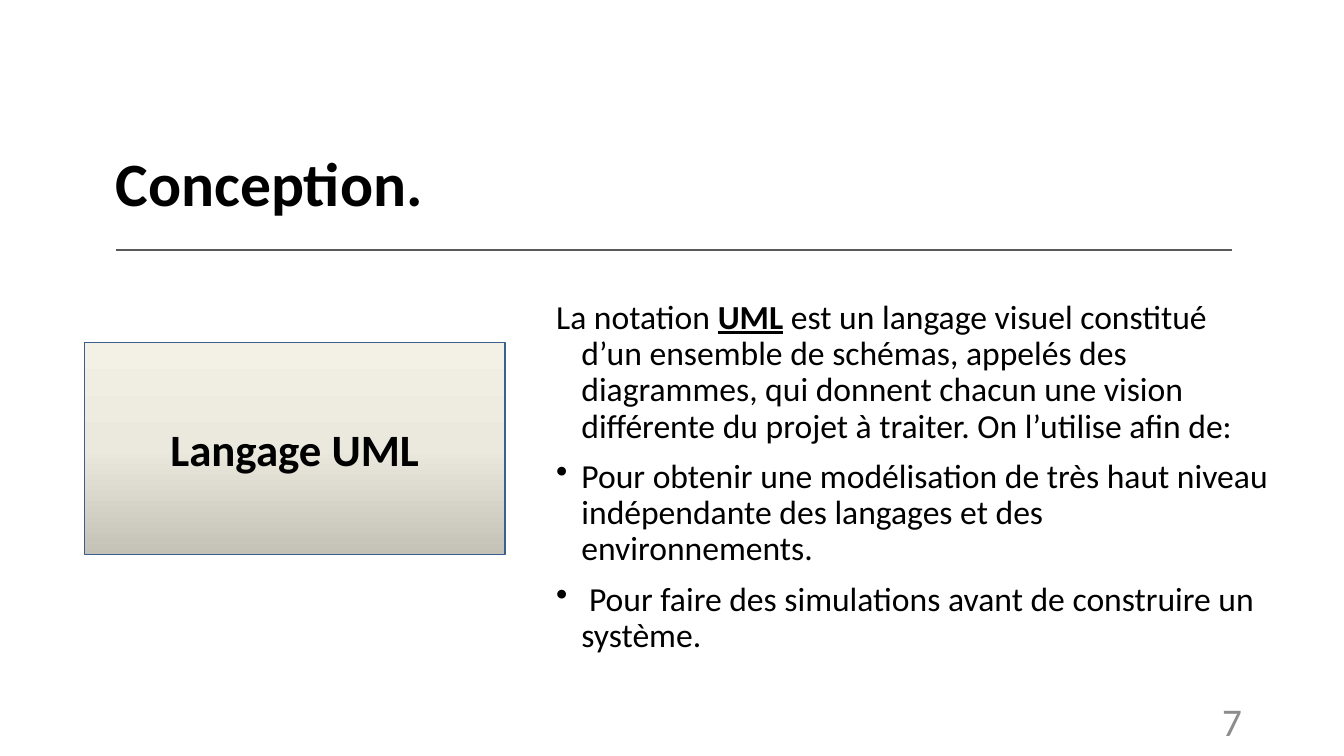
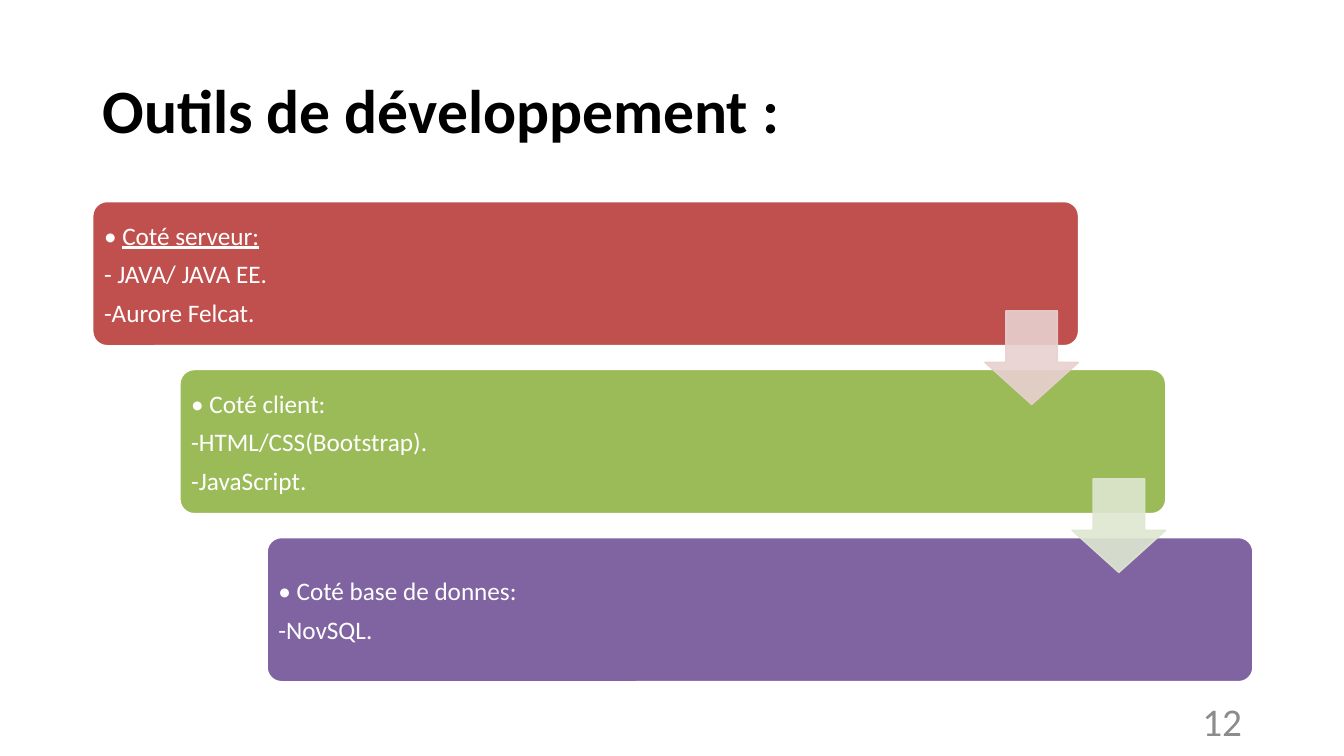
from copy import deepcopy

from lxml.etree import SubElement
from pptx import Presentation
from pptx.dml.color import RGBColor
from pptx.enum.shapes import MSO_CONNECTOR as Connector, MSO_SHAPE as Preset
from pptx.enum.text import MSO_ANCHOR as Anchor, PP_ALIGN as Align
from pptx.oxml.ns import qn
from pptx.util import Inches, Pt

COLUMNS, ROWS = 160, 90
FONT = "Calibri"
BLACK, WHITE, GREY, RULE = "000000", "FFFFFF", "8C8C8C", "595959"
TITLE = {"size": Pt(44), "bold": True}
TIGHT = {"line_spacing": 0.9}
BODY = {**TIGHT, "space_before": Pt(10)}
CARD_LINES = {"space_after": Pt(6), "alignment": Align.LEFT}
PLAIN, UNDERLINED = {}, {"underline": True}
STRONG = {"bold": True, "underline": True}


def rgb(value):
    return RGBColor.from_string(value)


def apply(target, values):
    for name, value in values.items():
        setattr(target, name, value)


class Deck:
    def __init__(self):
        self.show = Presentation()
        apply(self.show, {"slide_width": Inches(13.33), "slide_height": Inches(7.5)})
        self.column = self.show.slide_width / COLUMNS
        self.row = self.show.slide_height / ROWS
        self.slide = None

    def place(self, left, top, width, height):
        return [round(left * self.column), round(top * self.row),
                round(width * self.column), round(height * self.row)]

    def page(self, title, area, anchor, number):
        self.slide = self.show.slides.add_slide(self.show.slide_layouts[6])
        self.text(area, [title], TITLE, TIGHT, anchor)
        self.text((113.04, 83.4, 36, 4.8), [number], {"size": Pt(28)},
                  {"alignment": Align.RIGHT}, Anchor.MIDDLE, GREY)

    def fill_text(self, frame, paragraphs, font, layout, anchor, color):
        apply(frame, {"word_wrap": True, "vertical_anchor": anchor})
        for index, content in enumerate(paragraphs):
            paragraph = frame.paragraphs[0] if index == 0 else frame.add_paragraph()
            apply(paragraph, layout)
            runs = [(content, PLAIN)] if isinstance(content, str) else content
            for words, emphasis in runs:
                run = paragraph.add_run()
                run.text = words
                apply(run.font, {"name": FONT, **font, **emphasis})
                run.font.color.rgb = rgb(color)

    def text(self, area, paragraphs, font, layout, anchor=Anchor.TOP, color=BLACK):
        frame = self.slide.shapes.add_textbox(*self.place(*area)).text_frame
        self.fill_text(frame, paragraphs, font, layout, anchor, color)
        return frame

    def bullets(self, area, intro, items):
        frame = self.text(area, [intro, *items], {"size": Pt(24)}, BODY)
        for index, paragraph in enumerate(frame.paragraphs):
            properties = paragraph._p.get_or_add_pPr()
            properties.set("marL", str(Inches(0.25)))
            properties.set("indent", str(-Inches(0.25)))
            if index:
                SubElement(properties, qn("a:buChar")).set("char", "•")

    def rule(self, left, right, top):
        x, y, width, _ = self.place(left, top, right - left, 0)
        line = self.slide.shapes.add_connector(Connector.STRAIGHT, x, y, x + width, y)
        line.line.color.rgb = rgb(RULE)
        line.line.width = Pt(1.25)
        SubElement(line._element.spPr, qn("a:effectLst"))

    def shape(self, preset, area, fill, outline, adjustments=(), opacity=100):
        shape = self.slide.shapes.add_shape(preset, *self.place(*area))
        shape.shadow.inherit = False
        for index, value in enumerate(adjustments):
            shape.adjustments[index] = value
        if isinstance(fill, str):
            shape.fill.solid()
            shape.fill.fore_color.rgb = rgb(fill)
        else:
            self.gradient(shape, fill)
        shape.line.color.rgb = rgb(outline)
        shape.line.width = Pt(1)
        if opacity < 100:
            for color in shape._element.spPr.iter(qn("a:srgbClr")):
                SubElement(color, qn("a:alpha")).set("val", str(opacity * 1000))
        return shape

    def gradient(self, shape, colors):
        shape.fill.gradient()
        shape.fill.gradient_angle = 270
        stops = shape._element.spPr.find(".//" + qn("a:gsLst"))
        while len(stops) < len(colors):
            stops.append(deepcopy(stops[0]))
        for index, (stop, color) in enumerate(zip(shape.fill.gradient_stops, colors)):
            stop.position = index / (len(colors) - 1)
            stop.color.rgb = rgb(color)

    def panel(self, area, label, colors, outline):
        panel = self.shape(Preset.RECTANGLE, area, colors, outline)
        self.fill_text(panel.text_frame, [label], {"size": Pt(32), "bold": True},
                       {"alignment": Align.CENTER}, Anchor.MIDDLE, BLACK)

    def card(self, area, lines, color):
        card = self.shape(Preset.ROUNDED_RECTANGLE, area, color, WHITE, [0.1])
        sides = ("left", "top", "right", "bottom")
        apply(card.text_frame, {f"margin_{side}": Inches(0.07) for side in sides})
        self.fill_text(card.text_frame, lines, {"size": Pt(18)}, CARD_LINES,
                       Anchor.MIDDLE, WHITE)

    def staircase(self, left, top, steps):
        width, height, arrow = 117.36, 17.16, 11.16
        corners = [(left + 10.38 * i, top + 20 * i) for i in range(len(steps))]
        for (x, y), (lines, color, _) in zip(corners, steps):
            self.card((x, y, width, height), lines, color)
        for (x, y), (_, _, tint) in zip(corners[:-1], steps):
            self.shape(Preset.DOWN_ARROW, (x + width - arrow, y + 13, arrow, arrow),
                       tint, tint, [0.55, 0.45], 90)


deck = Deck()

deck.page("Conception.", (12.6, 12.84, 138.96, 13.92), Anchor.BOTTOM, "7")
deck.rule(13.8, 146.64, 29.76)
deck.bullets(
    (65.04, 35.16, 87.48, 50.64),
    [("La notation ", PLAIN), ("UML", STRONG),
     (" est un langage visuel constitué d’un ensemble de schémas, appelés des "
      "diagrammes, qui donnent chacun une vision différente du projet à traiter. "
      "On l’utilise afin de: ", PLAIN)],
    ["Pour obtenir une modélisation de très haut niveau indépendante des langages "
     "et des environnements.",
     " Pour faire des simulations avant de construire un système."])
deck.panel((10.08, 40.8, 50.04, 25.2), "Langage UML",
           ["F3F1E5", "EBE9DE", "C4C2B7"], "3A5F8C")

deck.page("Outils de développement : ", (11.04, 4.8, 138, 17.4), Anchor.MIDDLE, "12")
deck.staircase(11.04, 24, [
    ([[("• ", PLAIN), ("Coté serveur:", UNDERLINED)],
      "- JAVA/ JAVA EE. ", "-Aurore Felcat."], "C0504D", "E8D0D0"),
    (["• Coté client:", "-HTML/CSS(Bootstrap).", "-JavaScript. "], "9BBB59", "DEE7D1"),
    (["• Coté base de donnes:", "-NovSQL."], "8064A2", None),
])

deck.show.save("out.pptx")
